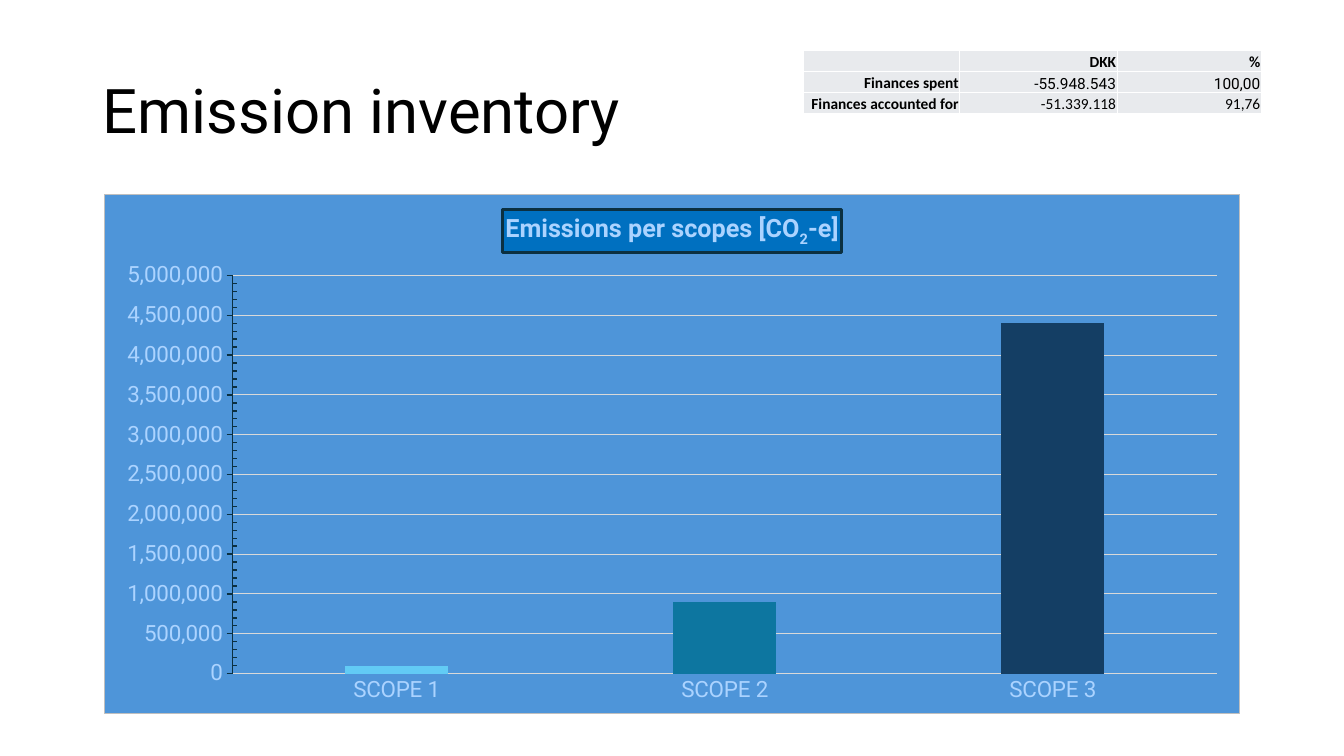
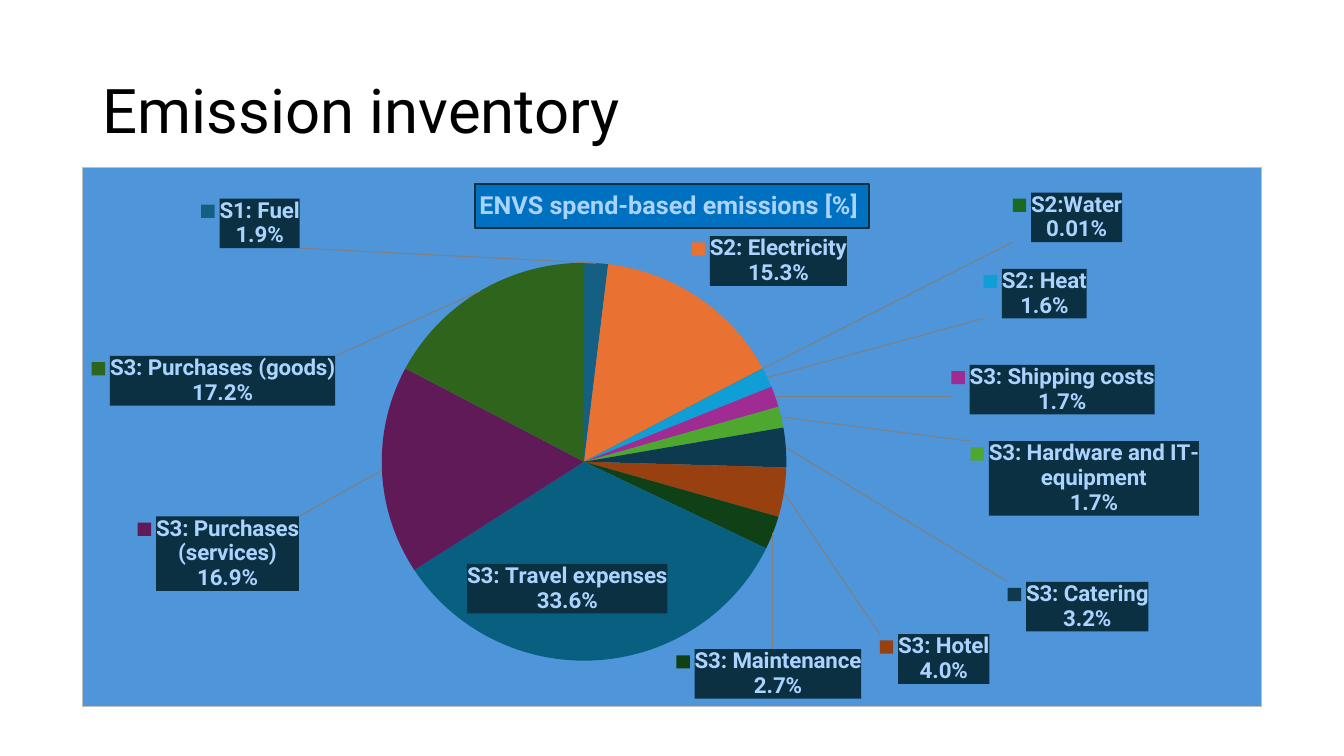
import math
from pptx import Presentation, util as u
from pptx.chart.data import CategoryChartData
from pptx.dml.color import RGBColor
from pptx.enum import chart as ce, text as te
from pptx.oxml import parse_xml
from pptx.oxml.ns import nsdecls, qn

# Shared style
FONT, TABLE_FONT = "Roboto", "Calibri"
BLACK, WHITE, GREY = "000000", "FFFFFF", "D9D9D9"
PANEL, TITLE_BOX, NAVY, PALE = "4E95D9", "0070C0", "0B3041", "ABD3FF"
TITLE = "Emission inventory"

# Slide 1: name, value, colour
SCOPES = [("SCOPE 1", 100000, "62CBF5"),
          ("SCOPE 2", 900000, "0D76A0"),
          ("SCOPE 3", 4400000, "143E64")]
SCOPE_CHART = (1.03, 1.92, 11.27, 5.16)
SCOPE_PLOT = (0.113, 0.157, 0.867, 0.767)
SCOPE_TITLE = [("Emissions per scopes [CO", False), ("2", True), ("-e]", False)]
FINANCES = [("", "DKK", "%"),
            ("Finances spent", "-55.948.543", "100,00"),
            ("Finances accounted for", "-51.339.118", "91,76")]
FIGURE_FONTS = {1: FONT, 2: TABLE_FONT}
COLUMN_WIDTHS, ROW_HEIGHT = (1.55, 1.56, 1.43), 0.21

# Slide 2: name, percent, colour, label box in the chart (left, top, width), lines
SPEND = [("S1: Fuel", 1.9, "156082", (1.18, 0.31, 0.98), 2),
         ("S2: Electricity", 15.3, "E97132", (6.05, 0.69, 1.54), 2),
         ("S2:Water", 0.01, "196B24", (9.24, 0.25, 1.09), 2),
         ("S2: Heat", 1.6, "0F9ED5", (8.95, 1.02, 1.03), 2),
         ("S3: Shipping costs", 1.7, "A02B93", (8.63, 1.99, 2.02), 2),
         ("S3: Hardware and IT-equipment", 1.7, "4EA72E", (8.82, 2.76, 2.27), 3),
         ("S3: Catering", 3.2, "0D3A4E", (9.19, 4.18, 1.4), 2),
         ("S3: Hotel", 4.0, "994010", (7.92, 4.71, 1.1), 2),
         ("S3: Maintenance", 2.7, "0F4016", (5.9, 4.86, 1.85), 2),
         ("S3: Travel expenses", 33.6, "095F80", (3.64, 4.0, 2.17), 2),
         ("S3: Purchases (services)", 16.9, "601A58", (0.54, 3.52, 1.61), 3),
         ("S3: Purchases (goods)", 17.2, "2F641C", (0.09, 1.9, 2.42), 2)]
SPEND_CHART = (0.81, 1.66, 11.71, 5.44)
SPEND_PLOT = (0.254, 0.176, 0.343, 0.739)
SPEND_TITLE = [("ENVS spend-based emissions [%] ", False)]
LINE_HEIGHT, KEY_WIDTH, LABEL_GAP = 0.25, 0.18, 0.06


def rgb(value):
    return RGBColor.from_string(value)


def fill(fmt, colour):
    fmt.fill.solid()
    fmt.fill.fore_color.rgb = rgb(colour)


def line(fmt, colour, width=0.75):
    fmt.line.color.rgb = rgb(colour)
    fmt.line.width = u.Pt(width)


def style(font, size, colour, name=FONT, bold=False):
    font.size, font.name, font.bold = u.Pt(size), name, bold
    font.color.rgb = rgb(colour)


def new_slide(prs):
    s = prs.slides.add_slide(prs.slide_layouts[5])
    t = s.shapes.title
    t.left, t.top, t.width, t.height = map(u.Inches, (0.92, 0.4, 11.5, 1.45))
    tf = t.text_frame
    tf.text, tf.vertical_anchor = TITLE, te.MSO_ANCHOR.MIDDLE
    p = tf.paragraphs[0]
    p.alignment, p.line_spacing = te.PP_ALIGN.LEFT, 0.9
    style(p.runs[0].font, 44, BLACK)
    return s


def solid(colour):
    return f'<a:solidFill><a:srgbClr val="{colour}"/></a:solidFill>'


def manual_layout(x, y, w=None, h=None, plot=False):
    parts = ""
    if plot:
        parts = ('<c:layoutTarget val="inner"/>'
                 '<c:xMode val="edge"/><c:yMode val="edge"/>')
    for tag, value in zip("xywh", (x, y, w, h)):
        if value is not None:
            parts += f'<c:{tag} val="{value:.4f}"/>'
    return f'<c:layout {nsdecls("c")}><c:manualLayout>{parts}</c:manualLayout></c:layout>'


def add_panel_chart(s, kind, rows, box, plot, title, title_line):
    """Add a one-series chart on a blue panel with a boxed title."""
    data = CategoryChartData()
    data.categories = [row[0] for row in rows]
    data.add_series("Series 1", [row[1] for row in rows])
    chart = s.shapes.add_chart(kind, *map(u.Inches, box), data).chart
    chart.has_legend = False
    style(chart.font, 10, WHITE)
    # Title
    chart.has_title = True
    p = chart.chart_title.text_frame.paragraphs[0]
    for words, subscript in title:
        r = p.add_run()
        r.text = words
        style(r.font, 18, PALE, bold=True)
        if subscript:
            r.font._element.set("baseline", "-25000")
    fill(chart.chart_title.format, TITLE_BOX)
    line(chart.chart_title.format, NAVY, title_line)
    # Panel and plot area
    space = chart._chartSpace
    panel = parse_xml(f'<c:spPr {nsdecls("c", "a")}>{solid(PANEL)}'
                      f'<a:ln w="9525">{solid("BFBFBF")}</a:ln></c:spPr>')
    space.chart.addnext(panel)
    area = space.chart.plotArea
    for old in area.findall(qn("c:layout")):
        area.remove(old)
    area.insert(0, parse_xml(manual_layout(*plot, plot=True)))
    # Point colours
    series = chart.plots[0].series[0]
    for i, row in enumerate(rows):
        fill(series.points[i].format, row[2])
    return chart


def format_axes(chart):
    plot = chart.plots[0]
    plot.gap_width, plot.overlap, plot.vary_by_categories = 219, -27, False
    cat, val = chart.category_axis, chart.value_axis
    for axis, colour, width in ((cat, GREY, 0.75), (val, NAVY, 1)):
        style(axis.tick_labels.font, 16, PALE)
        line(axis.format, colour, width)
    cat.major_tick_mark = ce.XL_TICK_MARK.NONE
    val.major_tick_mark = ce.XL_TICK_MARK.OUTSIDE
    val.minor_tick_mark = ce.XL_TICK_MARK.INSIDE
    val.minimum_scale, val.maximum_scale = 0, 5000000
    val.major_unit, val.minor_unit = 500000, 100000
    val.tick_labels.number_format = "#,##0"
    val.tick_labels.number_format_is_linked = False
    line(val.major_gridlines.format, GREY)


def label_body(decimals):
    # The values are percentages already, so the sign is part of the format
    number_format = f"0.{'0' * decimals}&quot;%&quot;"
    shows = "".join(f'<c:show{name} val="{on}"/>' for name, on in (
        ("LegendKey", 1), ("Val", 1), ("CatName", 1), ("SerName", 0),
        ("Percent", 0), ("BubbleSize", 0)))
    return (f'<c:numFmt formatCode="{number_format}" sourceLinked="0"/>'
            f'<c:spPr>{solid(NAVY)}</c:spPr><c:txPr><a:bodyPr/><a:p><a:pPr>'
            f'<a:defRPr sz="1600" b="1">{solid(PALE)}<a:latin typeface="{FONT}"/>'
            f'</a:defRPr></a:pPr><a:endParaRPr lang="en-US"/></a:p></c:txPr>'
            f'<c:dLblPos val="outEnd"/>{shows}<c:separator>\n</c:separator>')


def label_offsets():
    """Yield each label's shift from its place outside the pie, as chart shares."""
    width, height = SPEND_CHART[2:]
    x, y, w, h = SPEND_PLOT
    cx, cy = (x + w / 2) * width, (y + h / 2) * height
    reach = min(w * width, h * height) / 2 + LABEL_GAP
    total, before = sum(row[1] for row in SPEND), 0
    for _, value, _, (left, top, label_w), lines in SPEND:
        angle = 2 * math.pi * (before + value / 2) / total
        before += value
        dx, dy = math.sin(angle), -math.cos(angle)
        # Outside labels touch the pie with a corner, or a side near the axes
        side_x, side_y = (0 if abs(d) < 0.087 else math.copysign(1, d) for d in (dx, dy))
        label_h = lines * LINE_HEIGHT
        home_x = cx + reach * dx + (side_x - 1) * label_w / 2
        home_y = cy + reach * dy + (side_y - 1) * label_h / 2
        yield (left - home_x) / width, (top - home_y) / height


def add_pie_labels(chart):
    width, height = SPEND_CHART[2:]
    c15 = "http://schemas.microsoft.com/office/drawing/2012/chart"
    labels = ""
    for i, (row, offset) in enumerate(zip(SPEND, label_offsets())):
        _, value, _, (_, _, label_w), lines = row
        size = ""
        if lines > 2:
            w, h = (label_w - KEY_WIDTH) / width, lines * LINE_HEIGHT / height
            size = (f'<c:extLst><c:ext uri="{{CE6537A1-D6FC-4f65-9D91-7224C49458BB}}" '
                    f'xmlns:c15="{c15}"><c15:layout><c:manualLayout><c:w val="{w:.4f}"/>'
                    f'<c:h val="{h:.4f}"/></c:manualLayout></c15:layout></c:ext></c:extLst>')
        labels += (f'<c:dLbl><c:idx val="{i}"/>{manual_layout(*offset)}'
                   f'{label_body(2 if value < 0.1 else 1)}{size}</c:dLbl>')
    xml = (f'<c:dLbls {nsdecls("c", "a")}>{labels}{label_body(1)}'
           f'<c:showLeaderLines val="1"/><c:leaderLines><c:spPr><a:ln w="9525">'
           f'{solid("808080")}</a:ln></c:spPr></c:leaderLines></c:dLbls>')
    series = chart.plots[0].series[0]._element
    series.find(qn("c:cat")).addprevious(parse_xml(xml))


def add_finance_table(s):
    size = sum(COLUMN_WIDTHS), ROW_HEIGHT * len(FINANCES)
    table = s.shapes.add_table(len(FINANCES), len(COLUMN_WIDTHS),
                               *map(u.Inches, (7.97, 0.5, *size))).table
    for column, width in zip(table.columns, COLUMN_WIDTHS):
        column.width = u.Inches(width)
    for i, row in enumerate(FINANCES):
        table.rows[i].height = u.Inches(ROW_HEIGHT)
        for j, words in enumerate(row):
            cell = table.cell(i, j)
            cell.margin_left = cell.margin_right = cell.margin_top = u.Inches(0.01)
            cell.margin_bottom = 0
            cell.vertical_anchor = te.MSO_ANCHOR.BOTTOM
            p = cell.text_frame.paragraphs[0]
            p.alignment = te.PP_ALIGN.RIGHT
            if words:
                p.text = words
                heading = i == 0 or j == 0
                name = TABLE_FONT if heading else FIGURE_FONTS[i]
                style(p.runs[0].font, 11, BLACK, name, heading)
            else:
                p._p.append(parse_xml(f'<a:endParaRPr {nsdecls("a")} sz="1100"/>'))
            # Borders come before the fill in the cell's properties
            for edge in "LRTB":
                cell._tc.get_or_add_tcPr().append(parse_xml(
                    f'<a:ln{edge} {nsdecls("a")} w="12700">{solid(WHITE)}</a:ln{edge}>'))
            fill(cell, "E8EAED")


def main():
    prs = Presentation()
    prs.slide_width, prs.slide_height = u.Inches(13.33), u.Inches(7.5)
    # Emissions per scope
    s = new_slide(prs)
    format_axes(add_panel_chart(s, ce.XL_CHART_TYPE.COLUMN_CLUSTERED, SCOPES,
                                SCOPE_CHART, SCOPE_PLOT, SCOPE_TITLE, 2.25))
    add_finance_table(s)
    # Spend-based emissions
    s = new_slide(prs)
    add_pie_labels(add_panel_chart(s, ce.XL_CHART_TYPE.PIE, SPEND,
                                   SPEND_CHART, SPEND_PLOT, SPEND_TITLE, 1.5))
    prs.save("out.pptx")


if __name__ == "__main__":
    main()
